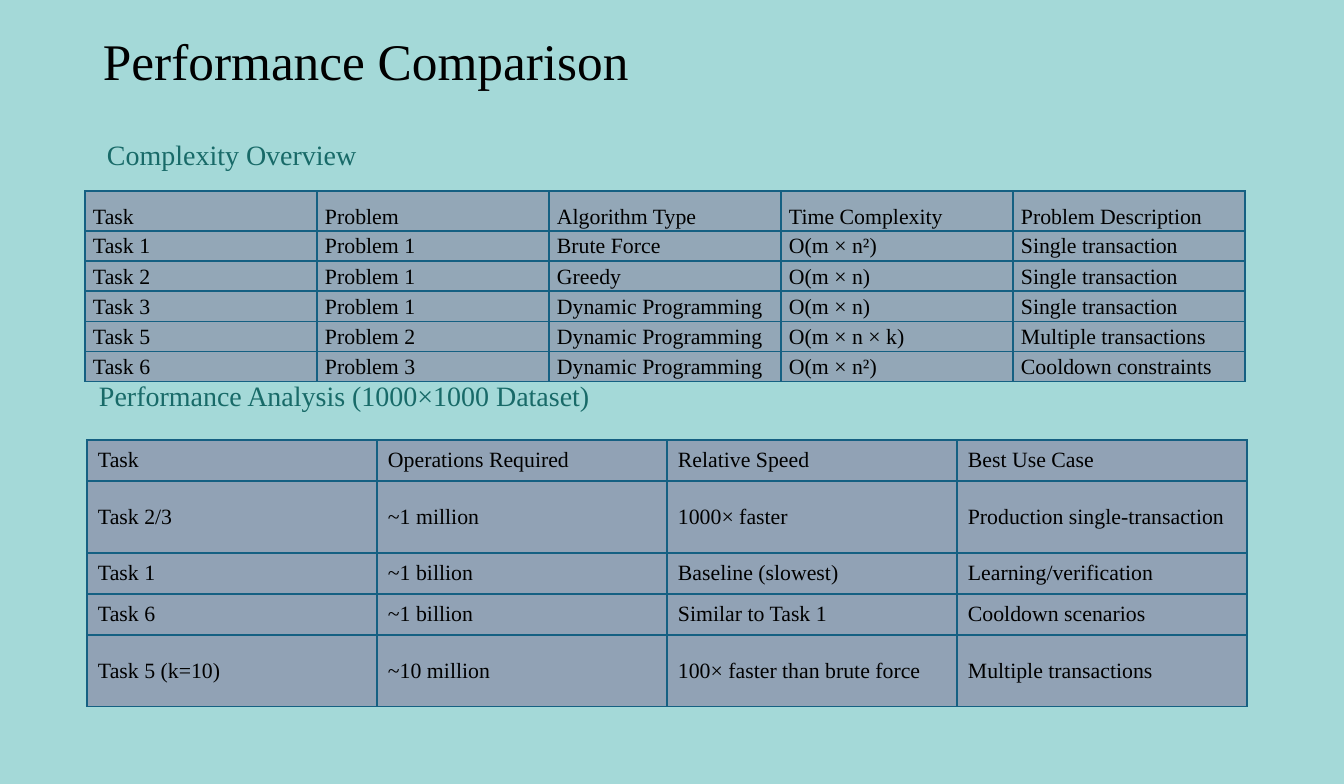
from dataclasses import dataclass

from lxml.etree import SubElement
from pptx import Presentation
from pptx.dml.color import RGBColor
from pptx.enum.text import MSO_ANCHOR, PP_ALIGN
from pptx.oxml.ns import qn
from pptx.slide import Slide
from pptx.table import _Cell
from pptx.text.text import _Paragraph
from pptx.util import Emu, Pt

FONT = "Times New Roman"
AQUA = RGBColor(0xA4, 0xD9, 0xD8)
TEAL = RGBColor(0x18, 0x6A, 0x68)
BLACK = RGBColor(0x00, 0x00, 0x00)
BORDER = RGBColor(0x15, 0x60, 0x82)
COMPLEXITY_FILL = RGBColor(0x93, 0xA7, 0xB7)
ANALYSIS_FILL = RGBColor(0x91, 0xA2, 0xB5)


def px(length: int) -> Emu:
    return Emu(round(length * 914400 / 112))


@dataclass(frozen=True)
class Heading:
    text: str
    left: int
    top: int
    width: int
    height: int
    size: int = 18
    color: RGBColor = TEAL
    anchor: MSO_ANCHOR = MSO_ANCHOR.TOP
    line_spacing: float = 1.0


@dataclass(frozen=True)
class CellStyle:
    margin_x: int
    margin_y: int
    anchor: MSO_ANCHOR
    line_spacing: float = 1.0
    space_after: int = 0
    align: PP_ALIGN = PP_ALIGN.LEFT


@dataclass(frozen=True)
class Grid:
    left: int
    top: int
    column_width: int
    row_heights: list[int]
    fill: RGBColor
    header: CellStyle
    body: CellStyle
    rows: list[tuple[str, ...]]


TITLE = Heading("Performance Comparison", 92, -12, 1159, 151, 33, BLACK, MSO_ANCHOR.MIDDLE, 0.9)
ANALYSIS_HEADING = Heading("Performance Analysis (1000×1000 Dataset)", 88, 373, 584, 147)
COMPLEXITY_HEADING = Heading("Complexity Overview", 96, 132, 672, 45)

ANALYSIS_CELL = CellStyle(11, 6, MSO_ANCHOR.MIDDLE)
ANALYSIS = Grid(
    87, 440, 290, [41, 72, 41, 41, 72], ANALYSIS_FILL, ANALYSIS_CELL, ANALYSIS_CELL,
    [
        ("Task", "Operations Required", "Relative Speed", "Best Use Case"),
        ("Task 2/3", "~1 million", "1000× faster", "Production single-transaction"),
        ("Task 1", "~1 billion", "Baseline (slowest)", "Learning/verification"),
        ("Task 6", "~1 billion", "Similar to Task 1", "Cooldown scenarios"),
        ("Task 5 (k=10)", "~10 million", "100× faster than brute force", "Multiple transactions"),
    ],
)
COMPLEXITY = Grid(
    85, 191, 232, [40] + [30] * 5, COMPLEXITY_FILL,
    CellStyle(8, 0, MSO_ANCHOR.MIDDLE, 1.5, 8, PP_ALIGN.JUSTIFY),
    CellStyle(8, 0, MSO_ANCHOR.TOP, 1.15, 8),
    [
        ("Task", "Problem", "Algorithm Type", "Time Complexity", "Problem Description"),
        ("Task 1", "Problem 1", "Brute Force", "O(m × n²)", "Single transaction"),
        ("Task 2", "Problem 1", "Greedy", "O(m × n)", "Single transaction"),
        ("Task 3", "Problem 1", "Dynamic Programming", "O(m × n)", "Single transaction"),
        ("Task 5", "Problem 2", "Dynamic Programming", "O(m × n × k)", "Multiple transactions"),
        ("Task 6", "Problem 3", "Dynamic Programming", "O(m × n²)", "Cooldown constraints"),
    ],
)


def format_text(paragraph: _Paragraph, size: int, color: RGBColor, line_spacing: float) -> None:
    paragraph.line_spacing = line_spacing
    for run in paragraph.runs:
        run.font.name = FONT
        run.font.size = Pt(size)
        run.font.color.rgb = color


def draw_heading(slide: Slide, heading: Heading) -> None:
    box = slide.shapes.add_textbox(
        px(heading.left), px(heading.top), px(heading.width), px(heading.height)
    )
    frame = box.text_frame
    frame.word_wrap = True
    frame.vertical_anchor = heading.anchor
    frame.text = heading.text
    format_text(frame.paragraphs[0], heading.size, heading.color, heading.line_spacing)


def draw_borders(cell: _Cell) -> None:
    properties = cell._tc.get_or_add_tcPr()
    for side in ("a:lnL", "a:lnR", "a:lnT", "a:lnB"):
        line = SubElement(properties, qn(side), w=str(Pt(1)))
        SubElement(SubElement(line, qn("a:solidFill")), qn("a:srgbClr"), val=str(BORDER))


def draw_cell(cell: _Cell, text: str, style: CellStyle, fill: RGBColor) -> None:
    draw_borders(cell)
    cell.fill.solid()
    cell.fill.fore_color.rgb = fill
    cell.margin_left = cell.margin_right = px(style.margin_x)
    cell.margin_top = cell.margin_bottom = px(style.margin_y)
    cell.vertical_anchor = style.anchor
    cell.text_frame.text = text
    paragraph = cell.text_frame.paragraphs[0]
    paragraph.alignment = style.align
    paragraph.space_after = Pt(style.space_after)
    format_text(paragraph, 14, BLACK, style.line_spacing)


def draw_grid(slide: Slide, grid: Grid) -> None:
    column_count = len(grid.rows[0])
    table = slide.shapes.add_table(
        len(grid.rows), column_count, px(grid.left), px(grid.top),
        px(grid.column_width * column_count), px(sum(grid.row_heights)),
    ).table
    table.first_row = False
    table.horz_banding = False
    for column in table.columns:
        column.width = px(grid.column_width)
    for row_index, (height, texts) in enumerate(zip(grid.row_heights, grid.rows)):
        table.rows[row_index].height = px(height)
        style = grid.body if row_index else grid.header
        for column_index, text in enumerate(texts):
            draw_cell(table.cell(row_index, column_index), text, style, grid.fill)


def main() -> None:
    presentation = Presentation()
    presentation.slide_width = px(1344)
    presentation.slide_height = px(784)
    slide = presentation.slides.add_slide(presentation.slide_layouts[6])
    slide.background.fill.solid()
    slide.background.fill.fore_color.rgb = AQUA
    draw_heading(slide, TITLE)
    draw_heading(slide, ANALYSIS_HEADING)
    draw_grid(slide, ANALYSIS)
    draw_grid(slide, COMPLEXITY)
    draw_heading(slide, COMPLEXITY_HEADING)
    presentation.save("out.pptx")


if __name__ == "__main__":
    main()
